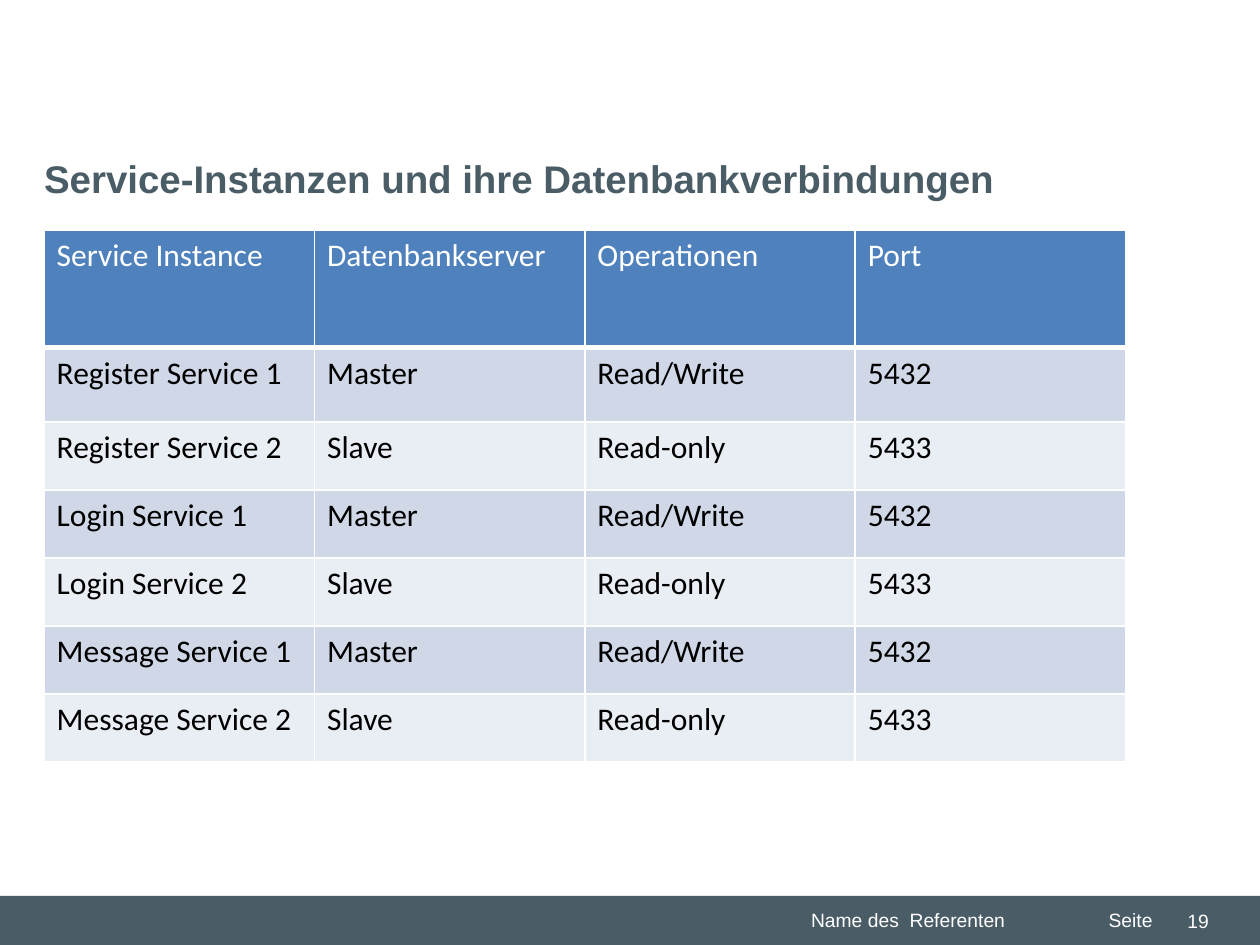
from dataclasses import dataclass

from lxml.etree import SubElement
from pptx import Presentation
from pptx.dml.color import RGBColor
from pptx.enum.shapes import MSO_SHAPE
from pptx.enum.text import MSO_ANCHOR, MSO_AUTO_SIZE, PP_ALIGN
from pptx.oxml.ns import qn
from pptx.slide import Slide
from pptx.util import Cm, Pt

SLATE = RGBColor(0x4A, 0x5C, 0x66)
WHITE = RGBColor(0xFF, 0xFF, 0xFF)
BLACK = RGBColor(0x00, 0x00, 0x00)
HEADER_BLUE = RGBColor(0x4F, 0x81, 0xBD)
BANDS = (RGBColor(0xD0, 0xD8, 0xE8), RGBColor(0xE9, 0xED, 0xF4))

HEADINGS = ("Service Instance", "Datenbankserver", "Operationen", "Port")
CONNECTIONS = (("Master", "Read/Write", "5432"), ("Slave", "Read-only", "5433"))
SERVICES = ("Register", "Login", "Message")

LEFT = 0.89
COLUMN_WIDTH = 5.45
ROW_HEIGHTS = (2.36, 1.5) + (1.37,) * 5


@dataclass(frozen=True)
class FooterEntry:
    text: str
    left: float
    width: float
    align: PP_ALIGN = PP_ALIGN.LEFT
    anchor: MSO_ANCHOR = MSO_ANCHOR.TOP


FOOTER = (
    FooterEntry("Name des  Referenten", 16.1, 6),
    FooterEntry("Seite", 22.1, 1.6),
    FooterEntry("19", 23.3, 1.32, PP_ALIGN.RIGHT, MSO_ANCHOR.MIDDLE),
)


def style_text(paragraph, font_name: str, size: int, color: RGBColor,
               bold: bool = False) -> None:
    for run in paragraph.runs:
        font = run.font
        font.name, font.size, font.bold = font_name, Pt(size), bold
        font.color.rgb = color


def add_footer(slide: Slide) -> None:
    bar = slide.shapes.add_shape(MSO_SHAPE.RECTANGLE, 0, Cm(18.06), Cm(25.4), Cm(0.99))
    bar.shadow.inherit = False
    bar.fill.solid()
    bar.fill.fore_color.rgb = SLATE
    bar.line.fill.background()
    for entry in FOOTER:
        box = slide.shapes.add_textbox(Cm(entry.left), Cm(18.19), Cm(entry.width), Cm(0.74))
        frame = box.text_frame
        frame.word_wrap = True
        frame.vertical_anchor = entry.anchor
        frame.text = entry.text
        frame.paragraphs[0].alignment = entry.align
        style_text(frame.paragraphs[0], "Arial", 11, WHITE)


def format_title(slide: Slide) -> None:
    title = slide.shapes.title
    title.left, title.top, title.width, title.height = Cm(LEFT), Cm(3), Cm(23.4), Cm(1.6)
    frame = title.text_frame
    frame.text = "Service-Instanzen und ihre Datenbankverbindungen"
    frame.auto_size = MSO_AUTO_SIZE.NONE
    frame.vertical_anchor = MSO_ANCHOR.TOP
    frame.margin_left = frame.margin_right = 0
    frame.paragraphs[0].alignment = PP_ALIGN.LEFT
    style_text(frame.paragraphs[0], "Arial", 22, SLATE, bold=True)


def add_borders(cell, top: int, bottom: int) -> None:
    """Draw white cell borders; top and bottom are widths in points."""
    properties = cell._tc.get_or_add_tcPr()
    for side, width in (("L", 1), ("R", 1), ("T", top), ("B", bottom)):
        border = SubElement(properties, qn(f"a:ln{side}"), w=str(Pt(width)))
        fill = SubElement(border, qn("a:solidFill"))
        SubElement(fill, qn("a:srgbClr"), val=str(WHITE))


def add_connection_table(slide: Slide) -> None:
    rows = [HEADINGS] + [
        (f"{service} Service {number}", *connection)
        for service in SERVICES
        for number, connection in enumerate(CONNECTIONS, start=1)
    ]
    table = slide.shapes.add_table(
        len(rows), len(HEADINGS), Cm(LEFT), Cm(4.65),
        Cm(COLUMN_WIDTH * len(HEADINGS)), Cm(sum(ROW_HEIGHTS))).table
    for column in table.columns:
        column.width = Cm(COLUMN_WIDTH)
    for index, (values, height) in enumerate(zip(rows, ROW_HEIGHTS)):
        table.rows[index].height = Cm(height)
        is_header = index == 0
        for cell, value in zip(table.rows[index].cells, values):
            add_borders(cell, top=3 if index == 1 else 1, bottom=3 if is_header else 1)
            cell.fill.solid()
            cell.fill.fore_color.rgb = HEADER_BLUE if is_header else BANDS[(index - 1) % 2]
            cell.text_frame.text = value
            style_text(cell.text_frame.paragraphs[0], "Calibri", 18,
                       WHITE if is_header else BLACK)


def main() -> None:
    presentation = Presentation()
    presentation.slide_width, presentation.slide_height = Cm(25.4), Cm(19.05)
    slide = presentation.slides.add_slide(presentation.slide_layouts[5])
    add_footer(slide)
    format_title(slide)
    add_connection_table(slide)
    presentation.save("out.pptx")


if __name__ == "__main__":
    main()
